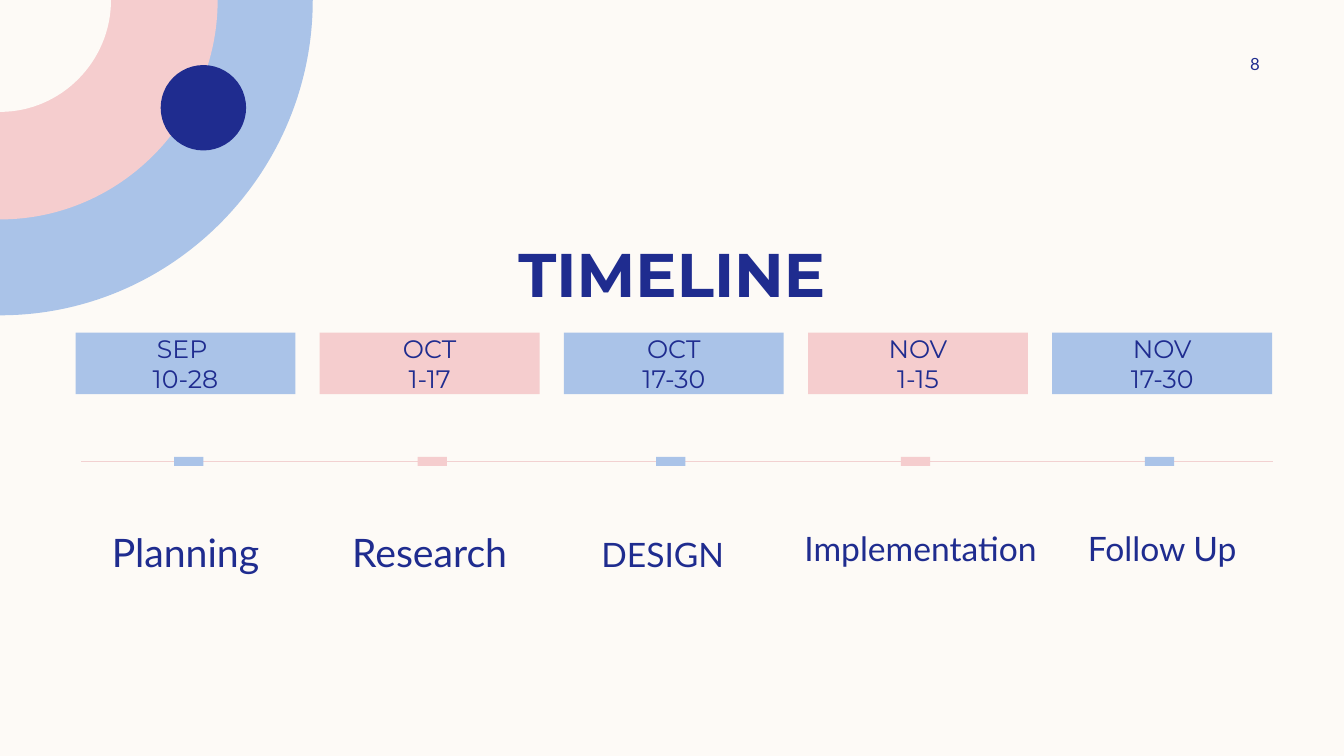
from lxml import etree
from pptx import Presentation
from pptx.dml.color import RGBColor
from pptx.enum.shapes import MSO_CONNECTOR, MSO_SHAPE
from pptx.enum.text import MSO_ANCHOR, PP_ALIGN
from pptx.oxml.ns import qn
from pptx.util import Pt

CREAM = RGBColor(0xFD, 0xFA, 0xF6)
BLUE = RGBColor(0xAA, 0xC3, 0xE8)
PINK = RGBColor(0xF5, 0xCD, 0xCE)
NAVY = RGBColor(0x1F, 0x2C, 0x8F)
ROSE = RGBColor(0xF2, 0xD1, 0xD1)

RECTANGLE, OVAL = MSO_SHAPE.RECTANGLE, MSO_SHAPE.OVAL
STRAIGHT = MSO_CONNECTOR.STRAIGHT
TOP, MIDDLE, BOTTOM = MSO_ANCHOR.TOP, MSO_ANCHOR.MIDDLE, MSO_ANCHOR.BOTTOM
CENTER, RIGHT = PP_ALIGN.CENTER, PP_ALIGN.RIGHT

HEADING, BODY = "Montserrat", "Lato"
ARC_HANDLE = 0.55
CARD_WIDTH, CARD_HEIGHT = 157, 44
MARKER_WIDTH, MARKER_HEIGHT = 20.9, 6.5
LINE_DROP = 92
LABEL_DROP, LABEL_HEIGHT = 136.1, 62.6

# month, days, marker shift, label, label size, label shift, label drop, label width
STAGES = [
    ("SEP ", "10-28", 2.3, "Planning", 28, 0, 0, 157),
    ("OCT", "1-17", 1.9, "Research", 28, 0, 0, 157),
    ("OCT", "17-30", -2.1, "DESIGN", 24, -7.9, 4.3, 157),
    ("NOV", "1-15", -1.7, "Implementation", 24, 1.8, 0, 195),
    ("NOV", "17-30", -1.9, "Follow Up", 24, 0, 0, 157),
]


def paint(shape, color):
    """Give a shape a flat fill without outline or shadow."""
    shape.shadow.inherit = False
    shape.fill.solid()
    shape.fill.fore_color.rgb = color
    shape.line.fill.background()


def add_block(page, kind, box, color):
    """Add a flat preset shape in the box."""
    shape = page.shapes.add_shape(kind, *map(Pt, box))
    paint(shape, color)
    return shape


def write(shape, lines, font, size, align, anchor, insets, bold=False):
    """Write one paragraph per line with a common format."""
    frame = shape.text_frame
    left, top, right, bottom = map(Pt, insets)
    frame_format = {
        "word_wrap": True, "vertical_anchor": anchor, "margin_left": left,
        "margin_top": top, "margin_right": right, "margin_bottom": bottom,
    }
    for name, value in frame_format.items():
        setattr(frame, name, value)
    frame.text = "\n".join(lines)
    for para in frame.paragraphs:
        para.alignment = align
        for span in para.runs:
            for name, value in {"name": font, "size": Pt(size), "bold": bold}.items():
                setattr(span.font, name, value)
            span.font.color.rgb = NAVY


def add_text(page, box, *args, **kwargs):
    """Add a text box and write its lines."""
    write(page.shapes.add_textbox(*map(Pt, box)), *args, **kwargs)


def add_quarter(page, box, color):
    """Draw a quarter disc centred on the top left corner of the box."""
    left, top, width, height = map(Pt, box)
    builder = page.shapes.build_freeform(left, top)
    builder.add_line_segments([(left + width, top), (left, top + height)], close=True)
    shape = builder.convert_to_shape()
    paint(shape, color)
    arc = list(shape.element.iter(qn("a:lnTo")))[1]
    arc.tag = qn("a:cubicBezTo")
    handles = [(width, int(height * ARC_HANDLE)), (int(width * ARC_HANDLE), height)]
    for index, (x, y) in enumerate(handles):
        arc.insert(index, etree.Element(qn("a:pt"), x=str(x), y=str(y)))


def add_corner(page, box):
    """Draw the nested quarter rings and the dot on them."""
    left, top, width, height = box
    for share, color in ((1, BLUE), (0.696, PINK), (0.355, CREAM)):
        add_quarter(page, (left, top, width * share, height * share), color)
    add_block(page, OVAL, (left + 114.8, top + 46.5, 61, 61), NAVY)


def add_heading(page, box):
    """Place the title and, above its right end, the page number."""
    left, top, width, height = box
    add_text(page, box, ["TIMELINE"], HEADING, 44, CENTER, BOTTOM,
             (7.2, 3.6, 7.2, 3.6), bold=True)
    add_text(page, (left + width - 78, top - 21.6, 78, 19.4), ["8"], BODY, 12,
             RIGHT, MIDDLE, (7.2, 3.6, 0, 3.6))


def add_axis(page, left, right, level):
    """Draw the horizontal line of the timeline."""
    axis = page.shapes.add_connector(STRAIGHT, Pt(left), Pt(level), Pt(right), Pt(level))
    axis.line.color.rgb = ROSE
    axis.line.width = Pt(1)
    etree.SubElement(axis.element.spPr, qn("a:effectLst"))


def add_stage(page, box, color, stage):
    """Place a date card with its marker and label below."""
    month, days, marker_shift, label, size, label_shift, label_drop, label_width = stage
    left, top, width, height = box
    middle = left + width / 2
    card = add_block(page, RECTANGLE, box, color)
    write(card, [month, days], HEADING, 18, CENTER, MIDDLE, (0, 0, 0, 0))
    marker_box = (middle + marker_shift - MARKER_WIDTH / 2,
                  top + LINE_DROP - MARKER_HEIGHT / 2, MARKER_WIDTH, MARKER_HEIGHT)
    add_block(page, RECTANGLE, marker_box, color)
    label_box = (middle + label_shift - label_width / 2,
                 top + LABEL_DROP + label_drop, label_width, LABEL_HEIGHT)
    add_text(page, label_box, [label], BODY, size, CENTER, TOP, (0, 3.6, 0, 3.6))


def add_timeline(page, box):
    """Spread the stages evenly across the box over a common axis."""
    left, top, width, _ = box
    pitch = (width - CARD_WIDTH) / (len(STAGES) - 1)
    add_axis(page, left + 4.2, left + width + 0.6, top + LINE_DROP)
    for index, stage in enumerate(STAGES):
        card_box = (left + index * pitch, top, CARD_WIDTH, CARD_HEIGHT)
        add_stage(page, card_box, (BLUE, PINK)[index % 2], stage)


def main():
    """Build the timeline slide and save it."""
    deck = Presentation()
    deck.slide_width, deck.slide_height = Pt(960), Pt(540)
    page = deck.slides.add_slide(deck.slide_layouts[6])
    page.background.fill.solid()
    page.background.fill.fore_color.rgb = CREAM
    add_corner(page, (0, 0, 223.4, 225.2))
    add_heading(page, (60, 57.6, 840, 167.4))
    add_timeline(page, (54, 237.6, 854.6, 203))
    deck.save("out.pptx")


if __name__ == "__main__":
    main()
